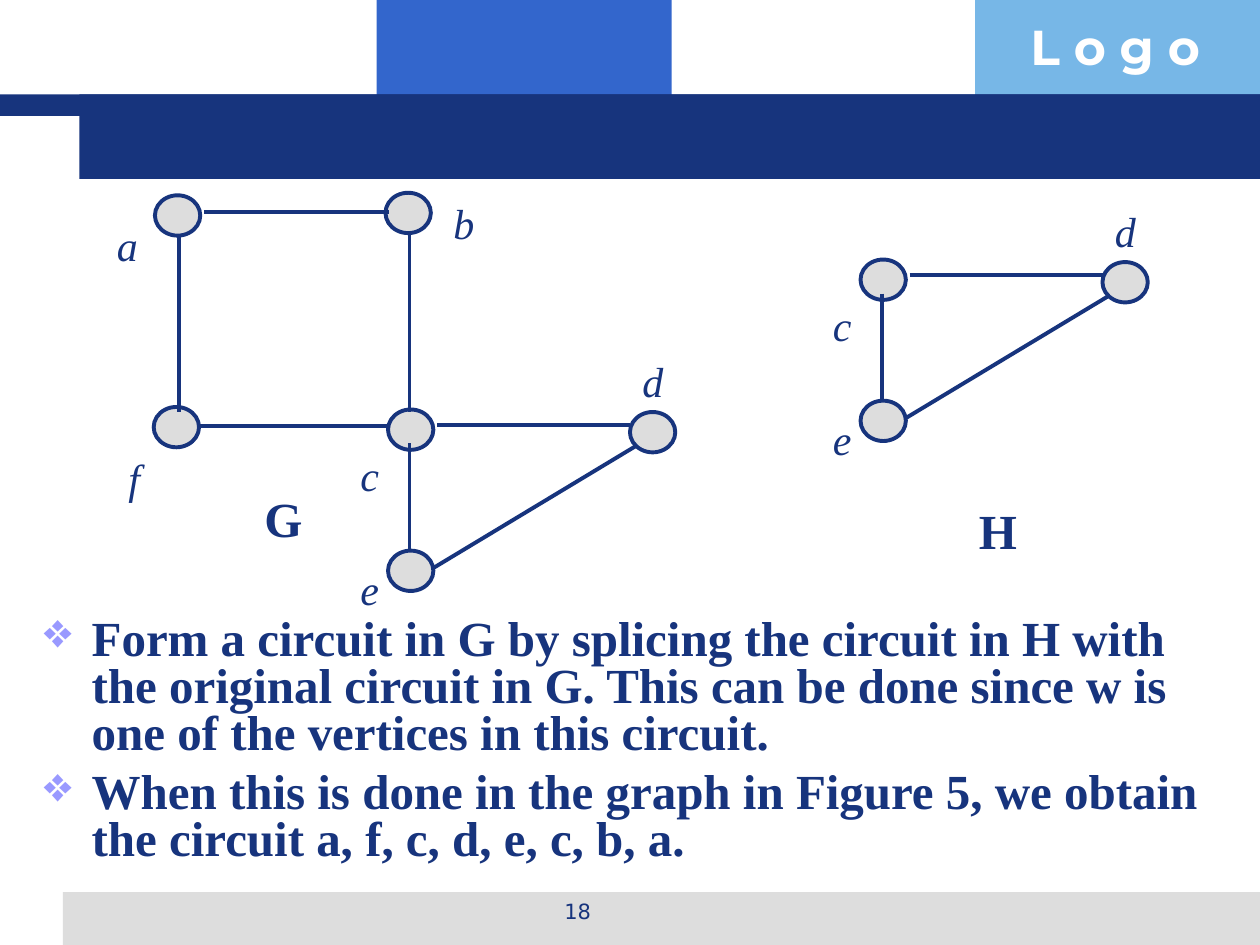
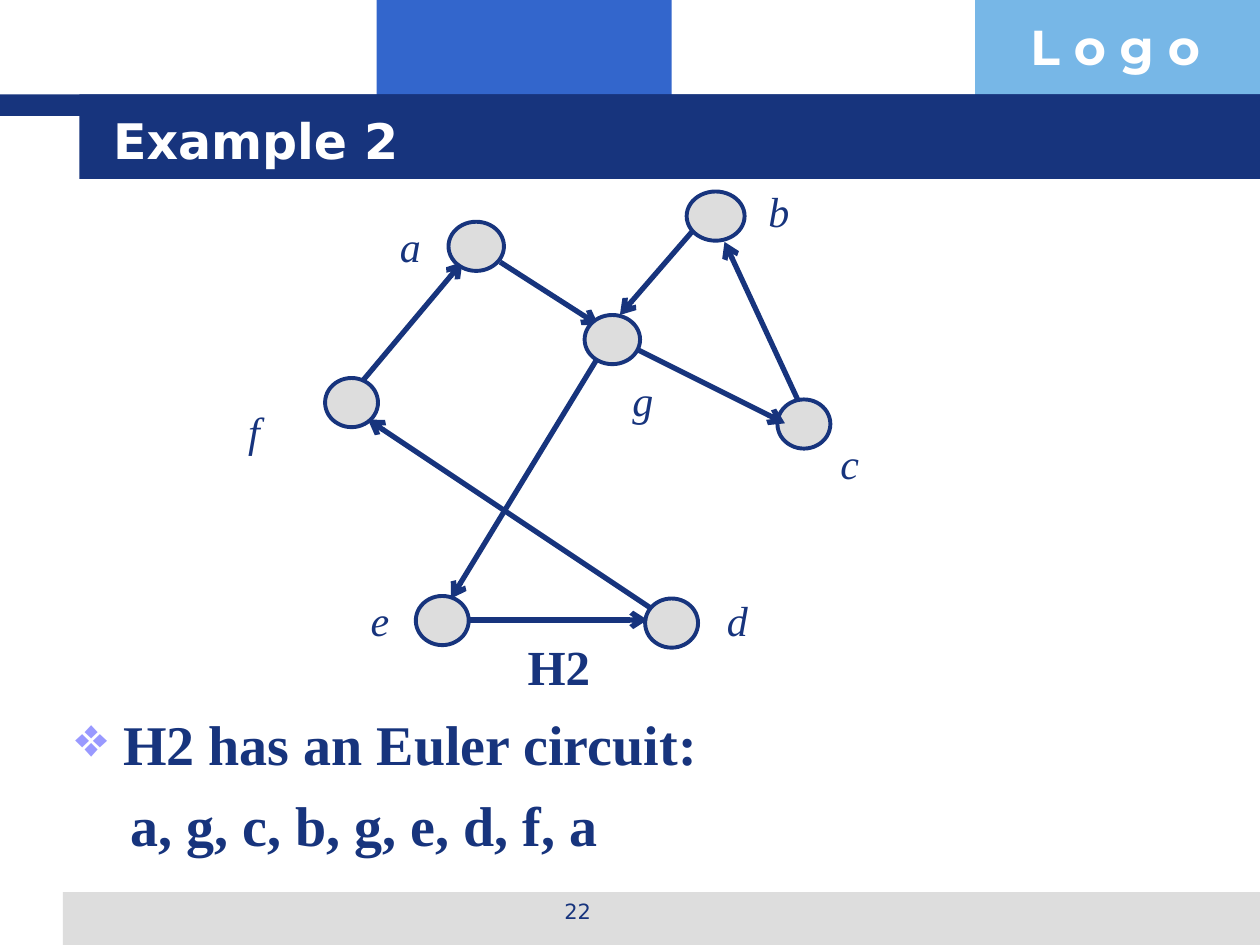
"""Build two lecture slides about Euler circuits."""
from dataclasses import dataclass
from typing import NamedTuple

from lxml import etree
from pptx import Presentation
from pptx.dml.color import RGBColor
from pptx.enum import shapes, text
from pptx.oxml import ns
from pptx.slide import Slide
from pptx.util import Inches, Pt

COLUMNS, ROWS = 100, 75
WIDTH, HEIGHT = Inches(10), Inches(7.5)


@dataclass(frozen=True)
class Theme:
    """Colours, fonts and type sizes of the deck."""
    navy: str = "17347D"
    blue: str = "3366CC"
    sky: str = "77B7E7"
    grey: str = "DDDDDD"
    white: str = "FFFFFF"
    lilac: str = "9999FF"
    serif: str = "Times New Roman"
    sans: str = "DejaVu Sans"
    display: str = "Montserrat"
    page_size: int = 12
    label_size: int = 24
    heading_size: int = 28
    large_size: int = 32
    outline: float = 2.25
    arrow: float = 3


THEME = Theme()


class Box(NamedTuple):
    """A place on the grid in columns and rows."""
    left: float
    top: float
    width: float
    height: float


class Band(NamedTuple):
    """A filled strip of the slide frame."""
    box: Box
    color: str


class Vertex(NamedTuple):
    """A graph vertex and the corner of its label."""
    label: str
    box: Box
    label_left: float
    label_top: float


class Edge(NamedTuple):
    """A graph edge from its start to its end."""
    x1: float
    y1: float
    x2: float
    y2: float


BANDS = (
    Band(Box(29.9, 0, 23.4, 9.2), THEME.blue),
    Band(Box(77.4, 0, 22.6, 9.2), THEME.sky),
    Band(Box(5, 70.8, 95, 4.2), THEME.grey),
    Band(Box(0, 7.5, 100, 1.7), THEME.navy),
    Band(Box(6.3, 7.5, 93.7, 6.7), THEME.navy),
)


def col(count: float) -> int:
    """Turn grid columns into a length."""
    return round(WIDTH * count / COLUMNS)


def row(count: float) -> int:
    """Turn grid rows into a length."""
    return round(HEIGHT * count / ROWS)


def place(box: Box) -> tuple[int, int, int, int]:
    """Turn a grid box into slide lengths."""
    return col(box.left), row(box.top), col(box.width), row(box.height)


def rgb(color: str) -> RGBColor:
    """Turn a hex string into a colour."""
    return RGBColor.from_string(color)


def mark(paragraph, bulleted: bool) -> None:
    """Indent a list paragraph and give it a diamond if bulleted."""
    properties = paragraph._p.get_or_add_pPr()
    properties.set("marL", str(col(3.8 if bulleted else 4.4)))
    properties.set("indent", str(col(-3.8 if bulleted else 0)))
    if bulleted:
        tint = etree.SubElement(properties, ns.qn("a:buClr"))
        etree.SubElement(tint, ns.qn("a:srgbClr"), val=THEME.lilac)
        etree.SubElement(properties, ns.qn("a:buChar"), char="❖")
    else:
        etree.SubElement(properties, ns.qn("a:buNone"))


def write(slide: Slide, box: Box, wording: str, *, size: int, font: str = THEME.serif,
          color: str = THEME.navy, bold: bool = False, italic: bool = False,
          align=text.PP_ALIGN.LEFT, anchor=text.MSO_ANCHOR.TOP, wrap: bool = True,
          bullets: tuple[bool, ...] = (), leading: float = 1, gap: float = 0) -> None:
    """Write each line of the wording as a formatted paragraph."""
    frame = slide.shapes.add_textbox(*place(box)).text_frame
    frame.word_wrap = wrap
    frame.vertical_anchor = anchor
    for index, line in enumerate(wording.split("\n")):
        paragraph = frame.add_paragraph() if index else frame.paragraphs[0]
        if bullets:
            mark(paragraph, bullets[index])
        paragraph.alignment = align
        paragraph.line_spacing = leading
        if index:
            paragraph.space_before = Pt(gap)
        run = paragraph.add_run()
        run.text = line
        run.font.name, run.font.size = font, Pt(size)
        run.font.bold, run.font.italic = bold, italic
        run.font.color.rgb = rgb(color)


def draw_frame(slide: Slide, page: str, title: str = "") -> None:
    """Draw the bands, corner word, page number and title."""
    for band in BANDS:
        strip = slide.shapes.add_shape(shapes.MSO_SHAPE.RECTANGLE, *place(band.box))
        strip.shadow.inherit = False
        strip.fill.solid()
        strip.fill.fore_color.rgb = rgb(band.color)
        strip.line.fill.background()
    write(slide, Box(80.8, 0.8, 19.2, 5.7), "L o g o", size=THEME.heading_size,
          font=THEME.display, color=THEME.white, bold=True)
    write(slide, Box(34.2, 70.8, 23.3, 3.5), page, size=THEME.page_size,
          font=THEME.sans, align=text.PP_ALIGN.CENTER)
    if title:
        write(slide, Box(8, 8, 85.3, 6.2), title, size=THEME.heading_size, font=THEME.sans,
              color=THEME.white, bold=True, anchor=text.MSO_ANCHOR.MIDDLE)


def draw_vertices(slide: Slide, *vertices: Vertex) -> None:
    """Draw vertices with their labels."""
    for vertex in vertices:
        dot = slide.shapes.add_shape(shapes.MSO_SHAPE.OVAL, *place(vertex.box))
        dot.shadow.inherit = False
        dot.fill.solid()
        dot.fill.fore_color.rgb = rgb(THEME.grey)
        dot.line.color.rgb = rgb(THEME.navy)
        dot.line.width = Pt(THEME.outline)
        write(slide, Box(vertex.label_left, vertex.label_top, 3.6, 5), vertex.label,
              size=THEME.label_size, italic=True, align=text.PP_ALIGN.CENTER,
              anchor=text.MSO_ANCHOR.MIDDLE, wrap=False)


def draw_edges(slide: Slide, *edges: Edge, directed: bool = False) -> None:
    """Draw edges, with an arrowhead at the end if directed."""
    for edge in edges:
        link = slide.shapes.add_connector(
            shapes.MSO_CONNECTOR.STRAIGHT, col(edge.x1), row(edge.y1), col(edge.x2), row(edge.y2))
        link.line.color.rgb = rgb(THEME.navy)
        link.line.width = Pt(THEME.arrow if directed else THEME.outline)
        if directed:
            etree.SubElement(link.line._get_or_add_ln(), ns.qn("a:tailEnd"), type="arrow")
        etree.SubElement(link._element.spPr, ns.qn("a:effectLst"))


def name_graph(slide: Slide, left: float, top: float, name: str) -> None:
    """Write the name of a graph in a box that holds it on one line."""
    write(slide, Box(left, top, 9, 5.7), name, size=THEME.heading_size, bold=True)


def small_vertex(label: str, left: float, top: float,
                 label_left: float, label_top: float) -> Vertex:
    """Make a vertex of the size used for G and H."""
    return Vertex(label, Box(left, top, 3.6, 3.2), label_left, label_top)


def draw_triangle(slide: Slide, x: float, y: float) -> None:
    """Draw the circuit c, d, e with vertex c at the given corner."""
    draw_vertices(slide, small_vertex("c", x, y, x - 3.25, y + 2.7))
    draw_edges(slide,
               Edge(x + 20, y + 2.7, x + 3.4, y + 12.7),
               Edge(x + 1.7, y + 2.7, x + 1.7, y + 11.1),
               Edge(x + 3.9, y + 1.2, x + 19.2, y + 1.2))
    draw_vertices(slide,
                  small_vertex("d", x + 19.2, y + 0.2, x + 19.2, y - 4.8),
                  small_vertex("e", x, y + 11.2, x - 3.25, y + 11.7))


def build_splicing(slide: Slide) -> None:
    """Show the graphs G and H and how their circuits join."""
    draw_frame(slide, "18")
    write(slide, Box(2.5, 48.6, 95, 21.4),
          "Form a circuit in G by splicing the circuit in H with the original circuit in G. "
          "This can be done since w is one of the vertices in this circuit.\n"
          "When this is done in the graph in Figure 5, we obtain the circuit "
          "a, f, c, d, e, c, b, a.",
          size=THEME.heading_size, bold=True, bullets=(True, True), leading=0.8, gap=7)
    draw_triangle(slide, 68.3, 20.6)
    draw_triangle(slide, 30.8, 32.5)
    draw_vertices(slide,
                  small_vertex("a", 12.3, 15.5, 8.3, 16.9),
                  small_vertex("b", 30.6, 15.3, 35, 15.2),
                  small_vertex("f", 12.2, 32.3, 8.85, 35.4))
    draw_edges(slide,
               Edge(16.2, 16.8, 30.9, 16.8),
               Edge(30.9, 33.8, 15.6, 33.8),
               Edge(14.2, 18.6, 14.2, 32.7),
               Edge(32.5, 18.6, 32.5, 32.7))
    name_graph(slide, 20, 38.3, "G")
    name_graph(slide, 76.7, 39.2, "H")


def build_example(slide: Slide) -> None:
    """Show the directed graph H2 and its Euler circuit."""
    draw_frame(slide, "22", "Example 2")
    write(slide, Box(5, 55.8, 90, 13.1), "H2 has an Euler circuit:\na, g, c, b, g, e, d, f, a",
          size=THEME.large_size, bold=True, bullets=(True, False), gap=8)
    draw_edges(slide, Edge(28.3, 30.8, 36.7, 20.8), directed=True)
    draw_vertices(slide,
                  Vertex("a", Box(35.6, 17.6, 4.4, 3.9), 30.75, 17),
                  Vertex("b", Box(54.5, 15.2, 4.6, 3.9), 60, 14.2),
                  Vertex("c", Box(61.7, 31.7, 4.2, 3.9), 65.65, 34.2),
                  Vertex("d", Box(51.2, 47.5, 4.2, 3.9), 56.7, 46.7),
                  Vertex("f", Box(25.8, 30, 4.2, 3.9), 18.35, 31.7))
    draw_edges(slide,
               Edge(39.7, 20.8, 47.5, 25.8),
               Edge(47.5, 28.3, 35.8, 47.5),
               Edge(51.7, 48.3, 29.2, 33.3), directed=True)
    draw_vertices(slide,
                  Vertex("g", Box(46.4, 25, 4.4, 3.9), 49.2, 29.2),
                  Vertex("e", Box(33, 47.3, 4.2, 3.9), 28.35, 46.7))
    draw_edges(slide,
               Edge(37.2, 49.2, 51.4, 49.2),
               Edge(55, 18.3, 49.2, 25),
               Edge(63.3, 31.7, 57.5, 19.2),
               Edge(50.7, 27.8, 62.3, 33.6), directed=True)
    name_graph(slide, 40.9, 50, "H2")


def main() -> None:
    """Build and save the deck."""
    deck = Presentation()
    deck.slide_width, deck.slide_height = WIDTH, HEIGHT
    for build in (build_splicing, build_example):
        build(deck.slides.add_slide(deck.slide_layouts[6]))
    deck.save("out.pptx")


if __name__ == "__main__":
    main()
